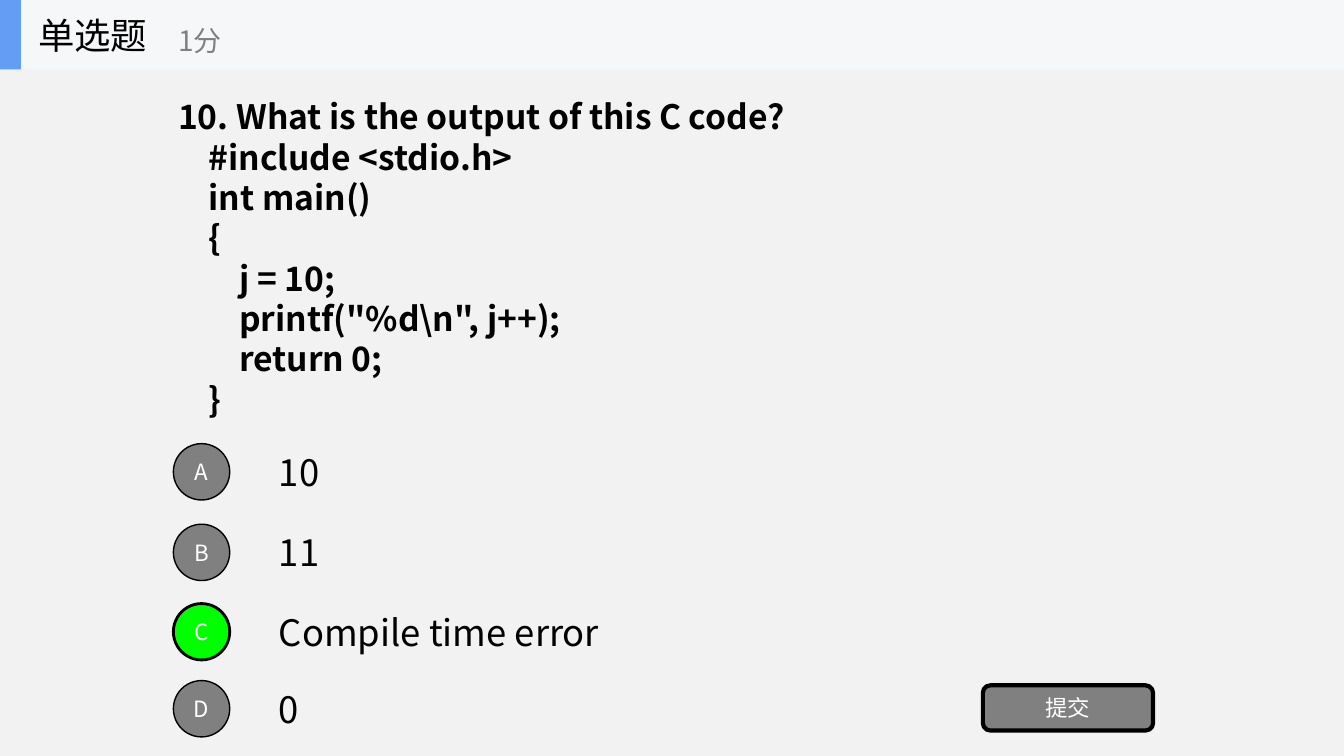
from pptx import Presentation
from pptx.dml.color import RGBColor
from pptx.enum.shapes import MSO_SHAPE
from pptx.enum.text import MSO_ANCHOR, MSO_AUTO_SIZE, PP_ALIGN
from pptx.util import Cm, Pt

RECTANGLE, OVAL, ROUNDED = MSO_SHAPE.RECTANGLE, MSO_SHAPE.OVAL, MSO_SHAPE.ROUNDED_RECTANGLE
MIDDLE, NO_RESIZE = MSO_ANCHOR.MIDDLE, MSO_AUTO_SIZE.NONE
LEFT, CENTER = PP_ALIGN.LEFT, PP_ALIGN.CENTER
FONT = "Noto Sans CJK SC"
COLORS = {
    "page": "F2F2F2", "header": "F6F7F8", "accent": "639EF4",
    "gray": "808080", "correct": "00FF00", "black": "000000", "white": "FFFFFF",
}

# Content
QUESTION = [
    "10. What is the output of this C code?",
    "    #include <stdio.h>",
    "    int main()",
    "    {",
    "        j = 10;",
    '        printf("%d\\n", j++);',
    "        return 0;",
    "    }",
]
# letter, answer, top of the circle in cm, width of the answer in cm
OPTIONS = [
    ("A", "10", 11.18, 1.85),
    ("B", "11", 13.21, 1.85),
    ("C", "Compile time error", 15.21, 9.07),
    ("D", "0", 17.15, 1.32),
]
CORRECT = "C"
# text, position in cm, size, colour
HEADER_LABELS = [
    ("单选题", (0.71, 0, 5.28, 1.75), 26, "black"),
    ("1分", (4.24, 0.3, 6.35, 1.42), 20, "gray"),
]
SLIDE_WIDTH, SLIDE_HEIGHT, HEADER_HEIGHT = 33.87, 19.05, 1.75
CIRCLE_SIZE, ANSWER_HEIGHT = 1.42, 1.35


def color(name):
    return RGBColor.from_string(COLORS[name])


def write(shape, lines, size, color_name, alignment=LEFT, bold=False, spacing=None,
          top=0, bottom=0):
    frame = shape.text_frame
    frame.text = "\n".join(lines)
    frame_format = {
        "word_wrap": True, "auto_size": NO_RESIZE, "vertical_anchor": MIDDLE,
        "margin_left": Cm(0.25), "margin_right": Cm(0.25),
        "margin_top": Cm(top), "margin_bottom": Cm(bottom),
    }
    for name, value in frame_format.items():
        setattr(frame, name, value)
    for paragraph in frame.paragraphs:
        paragraph.alignment = alignment
        paragraph.line_spacing = spacing
        for run in paragraph.runs:
            for name, value in {"name": FONT, "size": Pt(size), "bold": bold}.items():
                setattr(run.font, name, value)
            run.font.color.rgb = color(color_name)


def add_block(kind, box, fill, line_width=0):
    shape = slide.shapes.add_shape(kind, *map(Cm, box))
    shape.shadow.inherit = False
    shape.fill.solid()
    shape.fill.fore_color.rgb = color(fill)
    if line_width:
        shape.line.color.rgb = color("black")
        shape.line.width = Pt(line_width)
    else:
        shape.line.fill.background()
    return shape


def add_label(text, box, size, color_name):
    write(slide.shapes.add_textbox(*map(Cm, box)), [text], size, color_name)


presentation = Presentation()
presentation.slide_width, presentation.slide_height = Cm(SLIDE_WIDTH), Cm(SLIDE_HEIGHT)
slide = presentation.slides.add_slide(presentation.slide_layouts[5])
slide.background.fill.solid()
slide.background.fill.fore_color.rgb = color("page")

# Question
title = slide.shapes.title
title_place = {"left": 4.24, "top": 2.16, "width": 16.64, "height": 8.46}
for side, length in title_place.items():
    setattr(title, side, Cm(length))
write(title, QUESTION, 24, "black", bold=True, spacing=Pt(28.8), top=0.25, bottom=0.05)

# Options
for letter, answer, top, width in OPTIONS:
    is_correct = letter == CORRECT
    answer_top = top + (CIRCLE_SIZE - ANSWER_HEIGHT) / 2
    add_label(answer, (6.78, answer_top, width, ANSWER_HEIGHT), 26, "black")
    circle = add_block(OVAL, (4.37, top, CIRCLE_SIZE, CIRCLE_SIZE),
                       "correct" if is_correct else "gray", 2 if is_correct else 1)
    write(circle, [letter], 16, "white", CENTER)

# Submit button
button = add_block(ROUNDED, (24.77, 17.27, 4.29, 1.14), "gray", 3)
write(button, ["提交"], 16, "white", CENTER)

# Header
add_block(RECTANGLE, (0, 0, SLIDE_WIDTH, HEADER_HEIGHT), "header")
add_block(RECTANGLE, (0, 0, 0.53, HEADER_HEIGHT), "accent")
for label in HEADER_LABELS:
    add_label(*label)

presentation.save("out.pptx")
